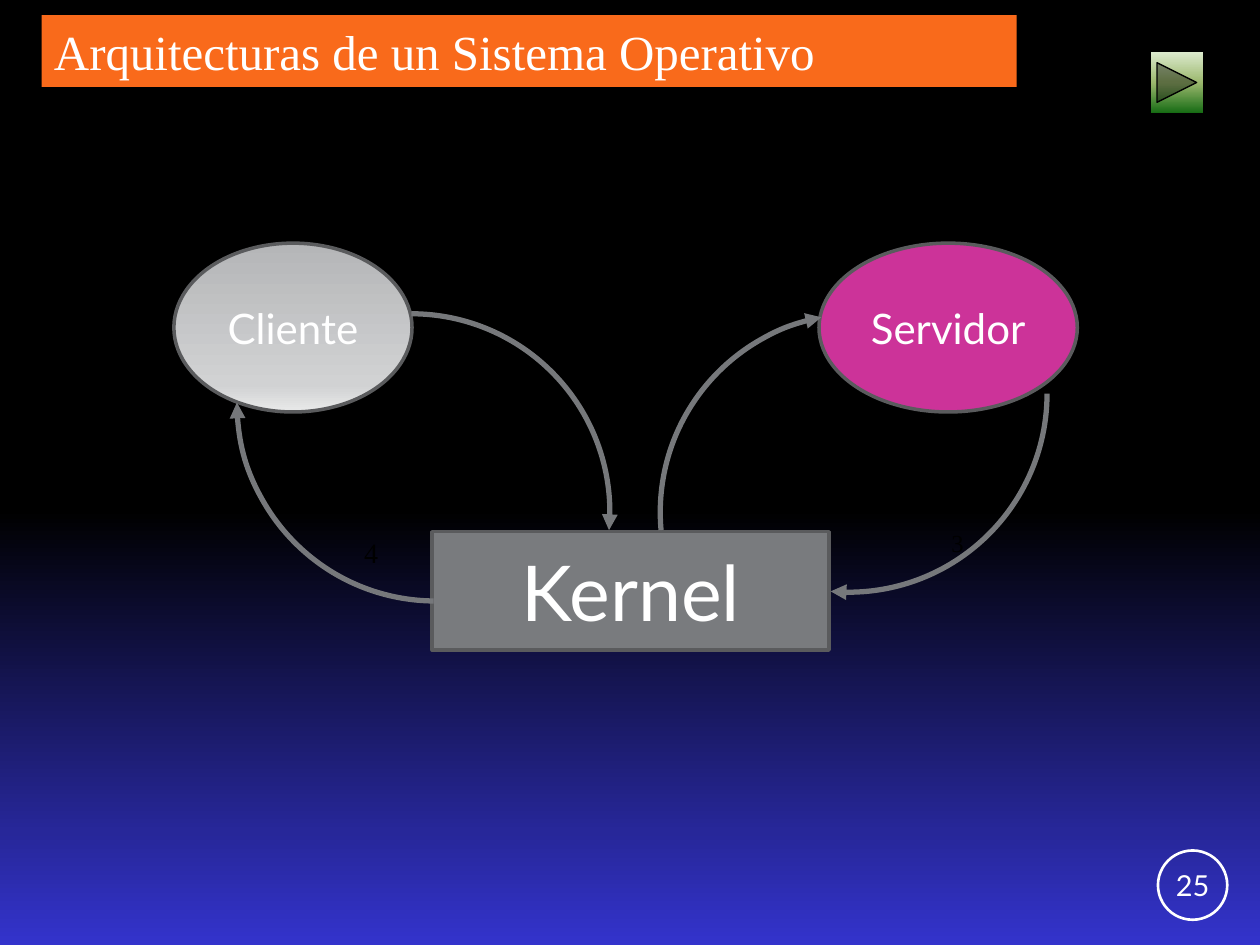
from copy import deepcopy

from lxml import etree
from pptx import Presentation
from pptx.dml.color import RGBColor
from pptx.enum import shapes, text
from pptx.oxml.ns import qn
from pptx.util import Inches, Pt

WHITE, BLACK, BORDER, ARROW = "FFFFFF", "000000", "5A5B5D", "76787B"
SHAPE = shapes.MSO_SHAPE


def color(value):
    return RGBColor.from_string(value)


def set_gradient(fill, stops):
    """Fill from top to bottom with (position, colour) stops."""
    fill.gradient()
    fill.gradient_angle = 270
    first = fill.gradient_stops[0]._gs
    for _ in stops[2:]:
        first.addnext(deepcopy(first))
    for stop, (position, value) in zip(fill.gradient_stops, stops):
        stop.position = position
        stop.color.rgb = color(value)


def add_shape(s, kind, box, fill=None, line=None, width=2):
    """Draw a preset shape; fill is a colour, a list of stops or None."""
    sp = s.shapes.add_shape(kind, *map(Inches, box))
    sp.shadow.inherit = False
    if fill is None:
        sp.fill.background()
    elif isinstance(fill, str):
        sp.fill.solid()
        sp.fill.fore_color.rgb = color(fill)
    else:
        set_gradient(sp.fill, fill)
    if line:
        sp.line.color.rgb = color(line)
        sp.line.width = Pt(width)
    else:
        sp.line.fill.background()
    return sp


def write(sp, words, size, font="Lato", value=WHITE,
          align=text.PP_ALIGN.CENTER, anchor=text.MSO_ANCHOR.MIDDLE):
    tf = sp.text_frame
    tf.vertical_anchor = anchor
    p = tf.paragraphs[0]
    p.alignment = align
    r = p.add_run()
    r.text = words
    r.font.size = Pt(size)
    r.font.name = font
    r.font.color.rgb = color(value)


def add_title(s, box):
    sp = add_shape(s, SHAPE.RECTANGLE, box, "F96A1B")
    write(sp, "Arquitecturas de un Sistema Operativo", 28, "Times New Roman",
          align=text.PP_ALIGN.LEFT, anchor=text.MSO_ANCHOR.TOP)


def add_next_button(s, box):
    add_shape(s, SHAPE.ACTION_BUTTON_FORWARD_OR_NEXT, box,
              [(0, "DDEBCF"), (0.5, "9CB86E"), (1, "156B13")], BLACK, 0.75)


def add_page_number(s, box):
    sp = add_shape(s, SHAPE.OVAL, box, line=WHITE, width=1.5)
    tf = sp.text_frame
    tf.margin_left = tf.margin_right = Inches(0.01)
    tf.margin_top = tf.margin_bottom = Inches(0.01)
    write(sp, "25", 16.5)


def add_arc_arrow(s, left, top, angles, end, rotation=0, flip=False):
    """Draw an arc of a circle with an arrowhead at "headEnd" or "tailEnd"."""
    sp = add_shape(s, SHAPE.ARC, (left, top, 3.15, 3.15), line=ARROW, width=3)
    sp.adjustments[0], sp.adjustments[1] = angles
    sp.rotation = rotation
    if flip:
        sp._element.spPr.find(qn("a:xfrm")).set("flipH", "1")
    etree.SubElement(sp.line._get_or_add_ln(), qn(f"a:{end}")).set("type", "triangle")


def add_step_number(s, number, box, size):
    tb = s.shapes.add_textbox(*map(Inches, box))
    tb.text_frame.word_wrap = False
    write(tb, number, size, "Times New Roman", BLACK, anchor=text.MSO_ANCHOR.TOP)


def add_diagram(s, left, top):
    """Client and server exchanging messages through the kernel."""
    nodes = [
        ("Cliente", 24, SHAPE.OVAL, (0, 0, 1.89, 1.34),
         [(0, "B5B6B8"), (0.84, "D1D2D3"), (1, "E8E9E9")]),
        ("Servidor", 24, SHAPE.OVAL, (5.12, 0, 2.05, 1.34), "CC3399"),
        ("Kernel", 44, SHAPE.RECTANGLE, (2.05, 2.29, 3.15, 0.94), "797B7E"),
    ]
    for words, size, kind, (x, y, w, h), fill in nodes:
        sp = add_shape(s, kind, (left + x, top + y, w, h), fill, BORDER)
        write(sp, words, size)

    quarter = (162, 3.11)
    add_arc_arrow(s, left + 0.31, top + 0.56, quarter, "tailEnd")
    add_arc_arrow(s, left + 3.86, top + 0.56, (168.51, 3.11), "headEnd", flip=True)
    add_arc_arrow(s, left + 3.78, top - 0.38, quarter, "tailEnd", rotation=90)
    add_step_number(s, "3", (left + 6.17, top + 2.21, 0.05, 0.34), 14)
    add_arc_arrow(s, left + 0.5, top - 0.31, (162, 215.7), "headEnd",
                  rotation=270, flip=True)
    add_step_number(s, "4", (left + 1.51, top + 2.27, 0.05, 0.34), 16)


def main():
    prs = Presentation()
    prs.slide_width, prs.slide_height = Inches(10), Inches(7.5)
    s = prs.slides.add_slide(prs.slide_layouts[6])
    set_gradient(s.background.fill,
                 [(0.54, BLACK), (0.88, "272799"), (1, "3333CC")])
    add_next_button(s, (9.13, 0.41, 0.42, 0.49))
    add_page_number(s, (9.19, 6.75, 0.55, 0.55))
    add_title(s, (0.33, 0.12, 7.74, 0.57))
    add_diagram(s, 1.38, 1.93)
    prs.save("out.pptx")


if __name__ == "__main__":
    main()
